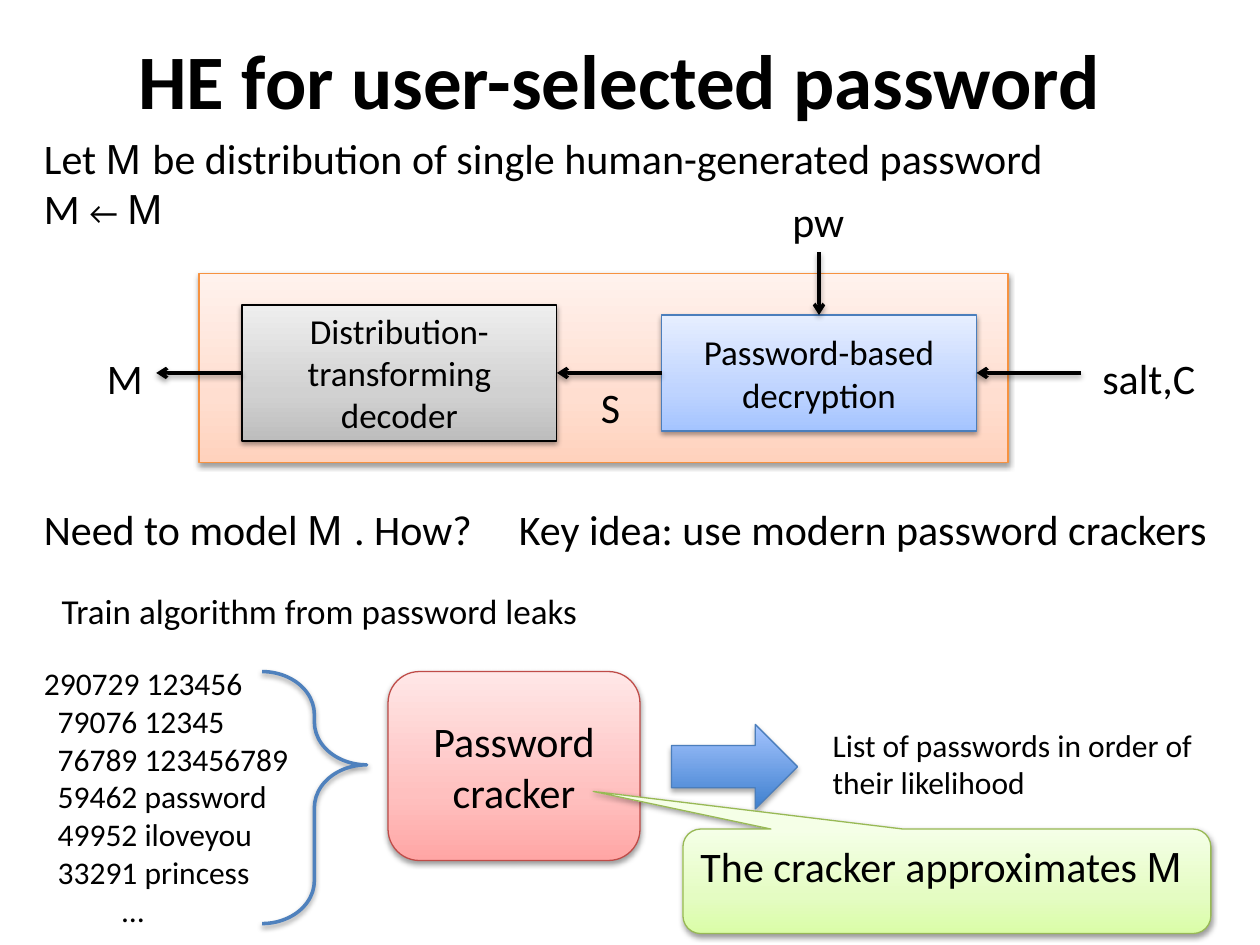
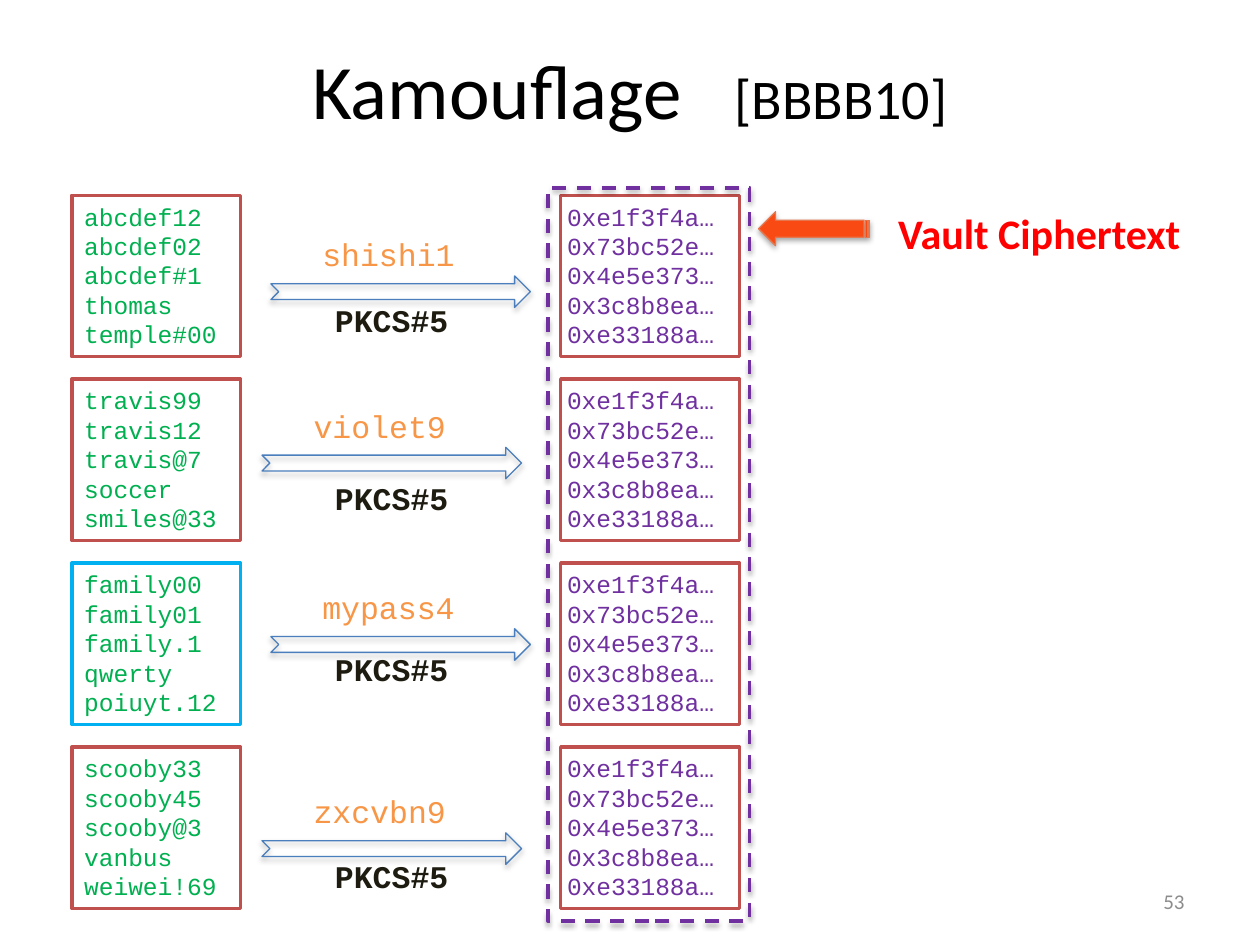
from dataclasses import dataclass
from typing import Any, Optional

from lxml.etree import SubElement
from pptx import Presentation
from pptx.dml.color import RGBColor
from pptx.enum.dml import MSO_LINE
from pptx.enum.shapes import MSO_CONNECTOR, MSO_SHAPE
from pptx.enum.text import MSO_ANCHOR, MSO_AUTO_SIZE, PP_ALIGN
from pptx.oxml.ns import qn
from pptx.util import Inches, Pt

BLACK = RGBColor(0x00, 0x00, 0x00)
WHITE = RGBColor(0xFF, 0xFF, 0xFF)
RED = RGBColor(0xFF, 0x00, 0x00)
GRAY = RGBColor(0x8C, 0x8C, 0x8C)
INK = RGBColor(0x1E, 0x1C, 0x11)
GREEN = RGBColor(0x00, 0xB0, 0x50)
PURPLE = RGBColor(0x70, 0x30, 0xA0)
ORANGE = RGBColor(0xF7, 0x96, 0x46)
BRICK = RGBColor(0xC0, 0x50, 0x4D)
SKY = RGBColor(0x00, 0xB0, 0xF0)
BLUE = RGBColor(0x4F, 0x81, 0xBD)
BLUE_EDGE = RGBColor(0x4B, 0x7E, 0xBC)
BLUE_LIGHT = RGBColor(0xA4, 0xC4, 0xFF)
BLUE_DEEP = RGBColor(0x3F, 0x80, 0xCE)
BLUE_MID = RGBColor(0xBF, 0xD4, 0xFF)
BLUE_PALE = RGBColor(0xE6, 0xEE, 0xFF)
PEACH = RGBColor(0xFF, 0xD2, 0xBD)
PEACH_MID = RGBColor(0xFF, 0xDE, 0xD0)
PEACH_PALE = RGBColor(0xFF, 0xF2, 0xED)
PEACH_EDGE = RGBColor(0xF6, 0x92, 0x40)
SILVER = RGBColor(0xBD, 0xBD, 0xBD)
SILVER_MID = RGBColor(0xD1, 0xD1, 0xD1)
SILVER_PALE = RGBColor(0xEE, 0xEE, 0xEE)
ROSE = RGBColor(0xFF, 0xA6, 0xA5)
ROSE_MID = RGBColor(0xFF, 0xC0, 0xBF)
ROSE_PALE = RGBColor(0xFF, 0xE7, 0xE7)
ROSE_EDGE = RGBColor(0xBF, 0x4C, 0x48)
LIME = RGBColor(0xDA, 0xFD, 0xA7)
LIME_MID = RGBColor(0xE4, 0xFC, 0xC2)
LIME_PALE = RGBColor(0xF5, 0xFF, 0xE7)
LIME_EDGE = RGBColor(0x98, 0xB9, 0x55)
FLAME = RGBColor(0xF9, 0x4A, 0x13)
FLAME_EDGE = RGBColor(0xE5, 0x76, 0x4D)

BODY, MATH, CODE = "Calibri", "Arial", "Courier New"
STRONG, SOFT = (38, 20000), (35, 23000)
TIGHT = {"margin_left": Inches(0.05), "margin_right": Inches(0)}


@dataclass(frozen=True)
class Span:
    text: str
    size: float = 24
    font: str = BODY
    color: RGBColor = BLACK
    bold: bool = False
    spacing: float = 0


@dataclass(frozen=True)
class Line:
    spans: tuple[Span, ...]
    indent: float = 0


@dataclass(frozen=True)
class Area:
    left: float
    top: float
    width: float
    height: float

    def lengths(self) -> list[int]:
        return [Inches(n) for n in (self.left, self.top, self.width, self.height)]


@dataclass(frozen=True)
class Figure:
    area: Area
    kind: Any
    edge: RGBColor
    fill: tuple[RGBColor, ...] = ()
    weight: float = 0.75
    shadow: Optional[tuple[int, int]] = STRONG
    rotation: float = 0
    adjust: tuple[float, ...] = ()


@dataclass(frozen=True)
class VaultRow:
    passwords: tuple[str, ...]
    master: str
    arrow_left: float
    arrow_top: float
    scheme_top: float
    edge: RGBColor = BRICK


def apply(target: Any, values: dict[str, Any]) -> None:
    for name, value in values.items():
        setattr(target, name, value)


def lines(*texts: str, **style: Any) -> list[Line]:
    return [Line((Span(text, **style),)) for text in texts]


def write(shape: Any, content: list[Line], align: Any = PP_ALIGN.LEFT, **frame_format: Any) -> None:
    frame = shape.text_frame
    apply(frame, {"word_wrap": True, "vertical_anchor": MSO_ANCHOR.TOP, **frame_format})
    for number, line in enumerate(content):
        paragraph = frame.add_paragraph() if number else frame.paragraphs[0]
        paragraph.alignment = align
        if line.indent:
            paragraph._p.get_or_add_pPr().set("marL", str(Inches(line.indent)))
        for span in line.spans:
            run = paragraph.add_run()
            run.text = span.text
            apply(run.font, {"size": Pt(span.size), "name": span.font, "bold": span.bold})
            run.font.color.rgb = span.color
            if span.spacing:
                run._r.get_or_add_rPr().set("spc", str(int(span.spacing * 100)))


def add_text(slide: Any, area: Area, content: list[Line], align: Any = PP_ALIGN.LEFT, **frame_format: Any) -> None:
    write(slide.shapes.add_textbox(*area.lengths()), content, align, **frame_format)


def add_label(slide: Any, area: Area, content: list[Line]) -> None:
    add_text(slide, area, content, word_wrap=False, auto_size=MSO_AUTO_SIZE.SHAPE_TO_FIT_TEXT)


def add_title(slide: Any, area: Area, *spans: Span) -> None:
    add_text(slide, area, [Line(spans)], PP_ALIGN.CENTER, vertical_anchor=MSO_ANCHOR.MIDDLE)


def cast_shadow(effects: Any, strength: tuple[int, int]) -> None:
    opacity, distance = strength
    outer = SubElement(effects, qn("a:outerShdw"), blurRad="40000", dist=str(distance),
                       dir="5400000", rotWithShape="0")
    color = SubElement(outer, qn("a:srgbClr"), val=str(BLACK))
    SubElement(color, qn("a:alpha"), val=str(opacity * 1000))


def paint(shape: Any, colors: tuple[RGBColor, ...]) -> None:
    fill = shape.fill
    if not colors:
        fill.background()
    elif len(colors) == 1:
        fill.solid()
        fill.fore_color.rgb = colors[0]
    else:
        fill.gradient()
        fill.gradient_angle = 90
        stops = shape._element.spPr.find(".//" + qn("a:gsLst"))
        for stop in list(stops):
            stops.remove(stop)
        positions = (0, 35, 100) if len(colors) == 3 else (0, 100)
        for position, color in zip(positions, colors):
            stop = SubElement(stops, qn("a:gs"), pos=str(position * 1000))
            SubElement(stop, qn("a:srgbClr"), val=str(color))


def add_figure(slide: Any, figure: Figure) -> Any:
    shape = slide.shapes.add_shape(figure.kind, *figure.area.lengths())
    shape.rotation = figure.rotation
    for number, value in enumerate(figure.adjust):
        shape.adjustments[number] = value
    paint(shape, figure.fill)
    shape.line.color.rgb = figure.edge
    shape.line.width = Pt(figure.weight)
    shape.shadow.inherit = False
    if figure.shadow:
        cast_shadow(shape._element.spPr.find(qn("a:effectLst")), figure.shadow)
    return shape


def add_flow(slide: Any, start: tuple[float, float], end: tuple[float, float],
             source: Any = None, target: Any = None, target_side: int = 3) -> None:
    flow = slide.shapes.add_connector(MSO_CONNECTOR.STRAIGHT, *map(Inches, start + end))
    if source is not None:
        flow.begin_connect(source, 1)
    if target is not None:
        flow.end_connect(target, target_side)
    flow.line.color.rgb = BLACK
    flow.line.width = Pt(2)
    properties = flow._element.spPr
    SubElement(properties.find(qn("a:ln")), qn("a:tailEnd"), type="arrow")
    cast_shadow(SubElement(properties, qn("a:effectLst")), STRONG)


def build_decryption(slide: Any) -> None:
    centered = {"align": PP_ALIGN.CENTER, "vertical_anchor": MSO_ANCHOR.MIDDLE}
    model = Span("M", font=MATH)
    model_gap = Span("M ", font=MATH)
    add_figure(slide, Figure(Area(1.58, 2.17, 6.42, 1.5), MSO_SHAPE.RECTANGLE, PEACH_EDGE,
                             (PEACH, PEACH_MID, PEACH_PALE)))
    add_title(slide, Area(0.72, 0, 8.4, 1.25), Span("HE for user-selected password", 44, bold=True))

    decryption = add_figure(slide, Figure(Area(5.25, 2.5, 2.5, 0.92), MSO_SHAPE.RECTANGLE, BLUE_EDGE,
                                          (BLUE_LIGHT, BLUE_MID, BLUE_PALE)))
    write(decryption, lines("Password-based decryption", size=20), **centered)
    decoder = add_figure(slide, Figure(Area(1.92, 2.42, 2.5, 1.08), MSO_SHAPE.RECTANGLE, BLACK,
                                       (SILVER, SILVER_MID, SILVER_PALE)))
    write(decoder, lines("Distribution-transforming decoder", size=20), **centered)

    middle = 2.96
    add_flow(slide, (1.92, middle), (1.24, middle), source=decoder)
    add_flow(slide, (6.5, 2), (6.5, 2.5), target=decryption, target_side=0)
    add_flow(slide, (5.25, middle), (4.42, middle), source=decryption, target=decoder)
    add_flow(slide, (8.58, middle), (7.75, middle), target=decryption)

    labels = [
        (Area(0.75, 2.75, 0.49, 0.5), lines("M")),
        (Area(6.19, 1.5, 0.62, 0.5), lines("pw")),
        (Area(8.65, 2.75, 0.95, 0.5), lines("salt,C")),
        (Area(4.67, 2.98, 0.36, 0.5), lines("S")),
        (Area(0.25, 1, 8.22, 0.91), [
            Line((Span("Let "), model_gap, Span("be distribution of single human-generated password"))),
            Line((Span("M "), Span("←", 18), Span(" "), model)),
        ]),
        (Area(0.25, 3.95, 3.73, 0.5), [Line((Span("Need to model "), model_gap, Span(". How?")))]),
        (Area(4.02, 3.95, 5.76, 0.5), lines("Key idea: use modern password crackers")),
        (Area(6.51, 5.71, 3.11, 0.71),
         lines("List of passwords in order of", "their likelihood", size=18)),
    ]
    for area, content in labels:
        add_label(slide, area, content)
    add_text(slide, Area(0.39, 4.63, 4.83, 0.44), lines("Train algorithm from password leaks", size=20))

    cracker = add_figure(slide, Figure(Area(3.08, 5.33, 2, 1.5), MSO_SHAPE.ROUNDED_RECTANGLE, ROSE_EDGE,
                                       (ROSE, ROSE_MID, ROSE_PALE)))
    write(cracker, lines("Password cracker"), **centered)
    leaks = [("290729 123456", 0), ("79076 12345", 0.11), ("76789 123456789", 0.11),
             ("59462 password", 0.11), ("49952 iloveyou", 0.11), ("33291 princess", 0.11), ("…", 0.62)]
    add_text(slide, Area(0.25, 5.22, 2.42, 2.22),
             [Line((Span(entry, 18),), indent) for entry, indent in leaks])
    add_figure(slide, Figure(Area(2.08, 5.33, 0.83, 2), MSO_SHAPE.LEFT_BRACE, BLUE, weight=2,
                             rotation=180, adjust=(0.41, 0.63)))
    add_figure(slide, Figure(Area(5.33, 5.75, 1, 0.67), MSO_SHAPE.RIGHT_ARROW, BLUE_EDGE,
                             (BLUE_DEEP, BLUE_LIGHT), shadow=SOFT))
    remark = add_figure(slide, Figure(Area(5.42, 6.58, 4.19, 0.83), MSO_SHAPE.ROUNDED_RECTANGULAR_CALLOUT,
                                      LIME_EDGE, (LIME, LIME_MID, LIME_PALE), adjust=(-0.67, -0.86, 0.17)))
    write(remark, [Line((Span("The cracker approximates "), model))])


def build_kamouflage(slide: Any) -> None:
    add_title(slide, Area(0.5, 0.08, 9, 1.25), Span("Kamouflage", 44),
              Span(" ", 44, spacing=20), Span("[BBBB10]", 32))
    hashes = ("0xe1f3f4a…", "0x73bc52e…", "0x4e5e373…", "0x3c8b8ea…", "0xe33188a…")
    rows = [
        VaultRow(("abcdef12", "abcdef02", "abcdef#1", "thomas", "temple#00"), "shishi1", 2.15, 2.19, 2.34),
        VaultRow(("travis99", "travis12", "travis@7", "soccer smiles@33"), "violet9", 2.08, 3.55, 3.75),
        VaultRow(("family00", "family01", "family.1", "qwerty poiuyt.12"), "mypass4", 2.15, 4.99, 5.11, SKY),
        VaultRow(("scooby33", "scooby45", "scooby@3", "vanbus weiwei!69"), "zxcvbn9", 2.08, 6.61, 6.75),
    ]
    for number, row in enumerate(rows):
        top = 1.55 + 1.46 * number
        vault = add_figure(slide, Figure(Area(0.57, top, 1.34, 1.28), MSO_SHAPE.RECTANGLE, row.edge,
                                         (WHITE,), 2, None))
        write(vault, lines(*row.passwords, size=14, font=CODE, color=GREEN))
        encrypted = add_figure(slide, Figure(Area(4.45, top, 1.42, 1.28), MSO_SHAPE.RECTANGLE, BRICK,
                                             (WHITE,), 2, None))
        write(encrypted, lines(*hashes, size=14, font=CODE, color=PURPLE), **TIGHT)
        add_figure(slide, Figure(Area(row.arrow_left, row.arrow_top, 2.06, 0.25),
                                 MSO_SHAPE.NOTCHED_RIGHT_ARROW, BLUE_EDGE, shadow=SOFT))
        add_label(slide, Area(row.arrow_left + 0.31, row.arrow_top - 0.37, 1.26, 0.4),
                  lines(row.master, size=18, font=CODE, color=ORANGE))
        add_label(slide, Area(2.56, row.scheme_top, 1.11, 0.4),
                  lines("PKCS#5", size=18, font=CODE, color=INK, bold=True))

    ciphertext = add_figure(slide, Figure(Area(4.35, 1.49, 1.6, 5.82), MSO_SHAPE.RECTANGLE, PURPLE,
                                          weight=2, shadow=SOFT))
    ciphertext.line.dash_style = MSO_LINE.DASH
    add_label(slide, Area(7.03, 1.6, 2.49, 0.5), lines("Vault Ciphertext", color=RED, bold=True))
    add_figure(slide, Figure(Area(6.02, 1.68, 0.88, 0.27), MSO_SHAPE.STRIPED_RIGHT_ARROW, FLAME_EDGE,
                             (FLAME,), shadow=SOFT, rotation=180))
    add_text(slide, Area(7.17, 6.95, 2.33, 0.4), lines("53", size=12, color=GRAY),
             PP_ALIGN.RIGHT, vertical_anchor=MSO_ANCHOR.MIDDLE)


def main() -> None:
    deck = Presentation()
    apply(deck, {"slide_width": Inches(10), "slide_height": Inches(7.5)})
    for build in (build_decryption, build_kamouflage):
        build(deck.slides.add_slide(deck.slide_layouts[6]))
    deck.save("out.pptx")


if __name__ == "__main__":
    main()
